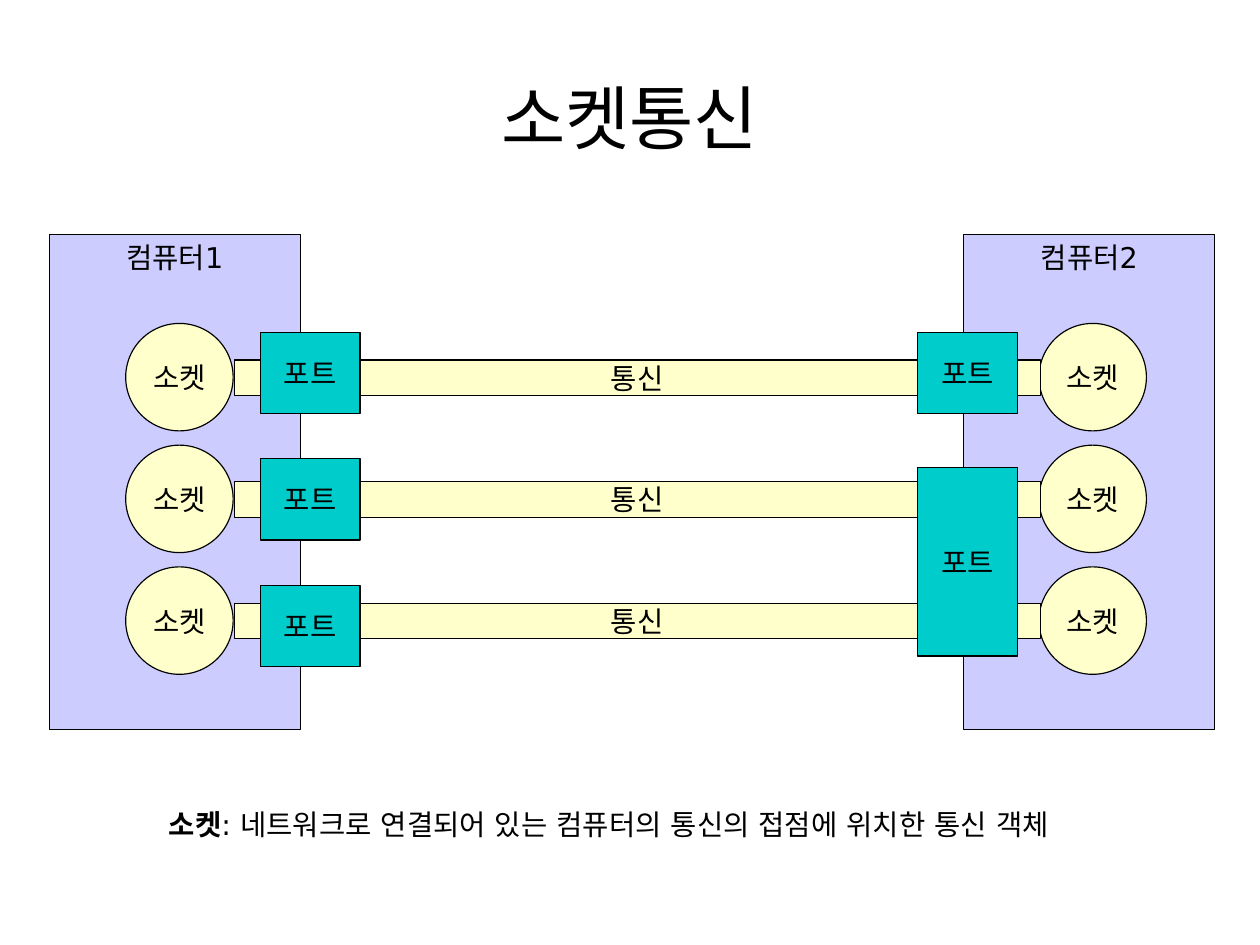
from dataclasses import dataclass

from lxml.etree import SubElement
from pptx import Presentation
from pptx.dml.color import RGBColor
from pptx.enum.shapes import MSO_SHAPE
from pptx.enum.text import MSO_ANCHOR, PP_ALIGN
from pptx.oxml.ns import qn
from pptx.util import Inches, Pt


@dataclass(frozen=True)
class Theme:
    """Colours, typeface and type sizes of the slide."""

    font: str = "DejaVu Sans"
    title_size: int = 44
    body_size: int = 18
    ink: str = "000000"
    computer: str = "CCCCFF"
    socket: str = "FFFFCC"
    port: str = "00CCCC"


class Diagram:
    """Draws styled elements on the current page."""

    def __init__(self, page, theme):
        """Keep the page and its theme."""
        self.page = page
        self.theme = theme

    def style(self, para, size, align):
        """Set the Latin and East Asian font and the alignment of a paragraph."""
        para.alignment = align
        para.font.name = self.theme.font
        para.font.size = Pt(size)
        para.font.color.rgb = RGBColor.from_string(self.theme.ink)
        defaults = para._p.pPr.find(qn("a:defRPr"))
        SubElement(defaults, qn("a:ea"), typeface=self.theme.font)

    def node(self, kind, area, color, label, anchor=MSO_ANCHOR.MIDDLE):
        """Add a filled, outlined shape with a centred label."""
        shape = self.page.shapes.add_shape(kind, *map(Inches, area))
        shape.shadow.inherit = False
        shape.fill.solid()
        shape.fill.fore_color.rgb = RGBColor.from_string(color)
        shape.line.color.rgb = RGBColor.from_string(self.theme.ink)
        shape.line.width = Pt(0)
        frame = shape.text_frame
        frame.word_wrap = False
        frame.vertical_anchor = anchor
        frame.text = label
        self.style(frame.paragraphs[0], self.theme.body_size, PP_ALIGN.CENTER)

    def computer(self, left, label):
        """Add a computer with its name at the top."""
        self.node(MSO_SHAPE.RECTANGLE, (left, 2.05, 2.2, 4.33),
                  self.theme.computer, label, MSO_ANCHOR.TOP)

    def socket(self, left, top):
        """Add a round socket."""
        self.node(MSO_SHAPE.OVAL, (left, top, 0.94, 0.94), self.theme.socket, "소켓")

    def channel(self, top):
        """Add a communication channel between two sockets."""
        self.node(MSO_SHAPE.RECTANGLE, (2.05, top, 7.05, 0.31), self.theme.socket, "통신")

    def port(self, left, top, height=0.71):
        """Add a port on the edge of a computer."""
        self.node(MSO_SHAPE.RECTANGLE, (left, top, 0.87, height), self.theme.port, "포트")

    def title(self, text):
        """Add the centred slide title."""
        box = self.page.shapes.add_textbox(*map(Inches, (0.55, 0.33, 9.92, 1.38)))
        frame = box.text_frame
        frame.word_wrap = True
        frame.vertical_anchor = MSO_ANCHOR.MIDDLE
        frame.margin_left = frame.margin_right = Inches(0)
        frame.margin_top = frame.margin_bottom = Inches(0)
        frame.text = text
        self.style(frame.paragraphs[0], self.theme.title_size, PP_ALIGN.CENTER)

    def definition(self, term, meaning):
        """Add a bold term followed by its meaning."""
        box = self.page.shapes.add_textbox(*map(Inches, (1.38, 7.01, 8.54, 0.46)))
        box.text_frame.word_wrap = False
        para = box.text_frame.paragraphs[0]
        self.style(para, self.theme.body_size, PP_ALIGN.LEFT)
        span = para.add_run()
        span.text = term
        span.font.bold = True
        para.add_run().text = meaning


def main():
    """Build and save the slide."""
    deck = Presentation()
    deck.slide_width, deck.slide_height = Inches(28 / 2.54), Inches(21 / 2.54)
    page = deck.slides.add_slide(deck.slide_layouts[6])
    diagram = Diagram(page, Theme())

    diagram.computer(0.43, "컴퓨터1")
    diagram.title("소켓통신")
    diagram.computer(8.43, "컴퓨터2")

    socket_pitch, port_pitch = 1.065, 1.105
    for row in range(3):
        socket_top = 2.83 + row * socket_pitch
        diagram.socket(1.1, socket_top)
        diagram.socket(9.09, socket_top)
        diagram.channel(socket_top + 0.32)
        diagram.port(2.28, 2.91 + row * port_pitch)
    diagram.port(8.03, 2.91)
    diagram.port(8.03, 4.09, height=1.65)

    diagram.definition("소켓", ": 네트워크로 연결되어 있는 컴퓨터의 통신의 접점에 위치한 통신 객체")
    deck.save("out.pptx")


if __name__ == "__main__":
    main()
